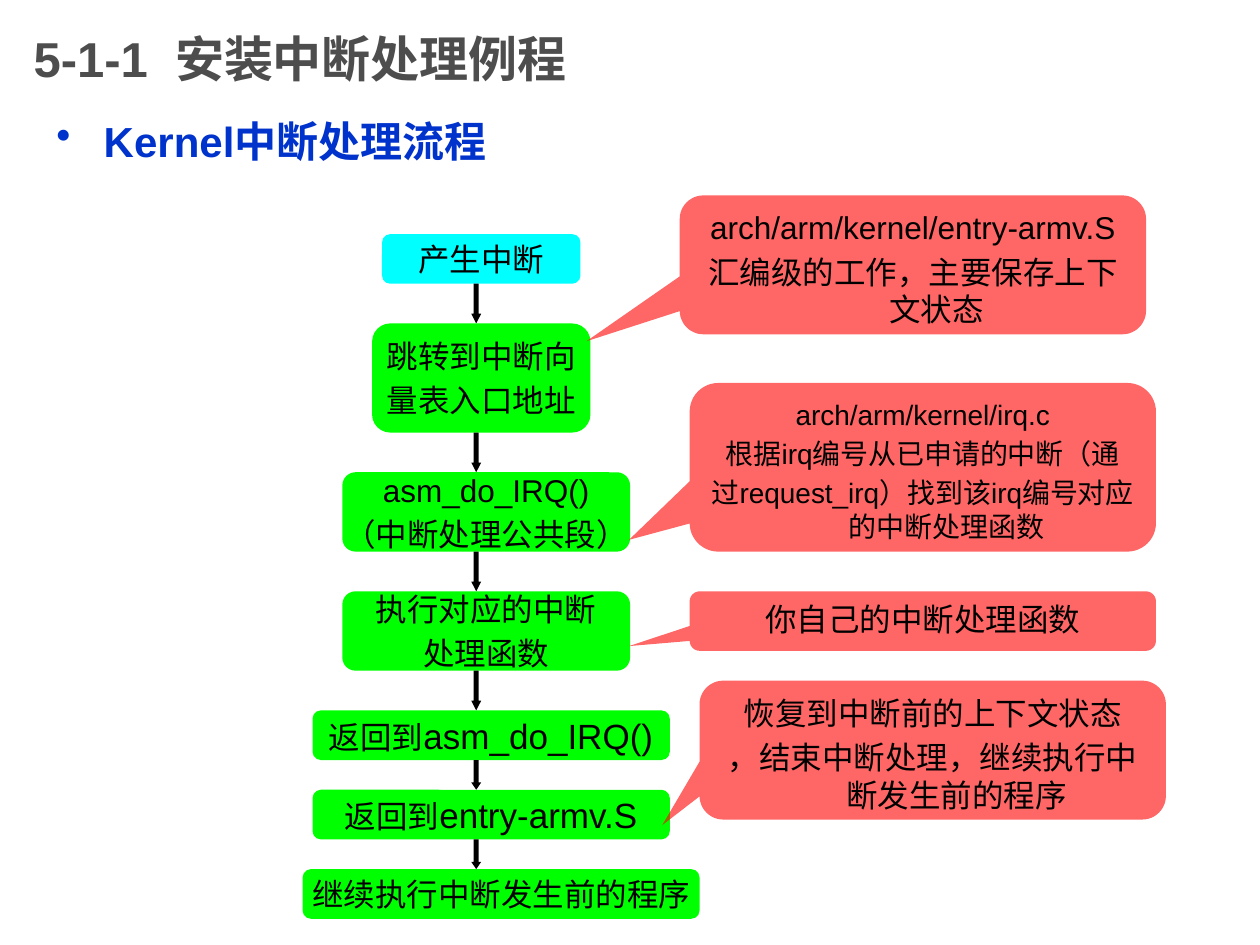
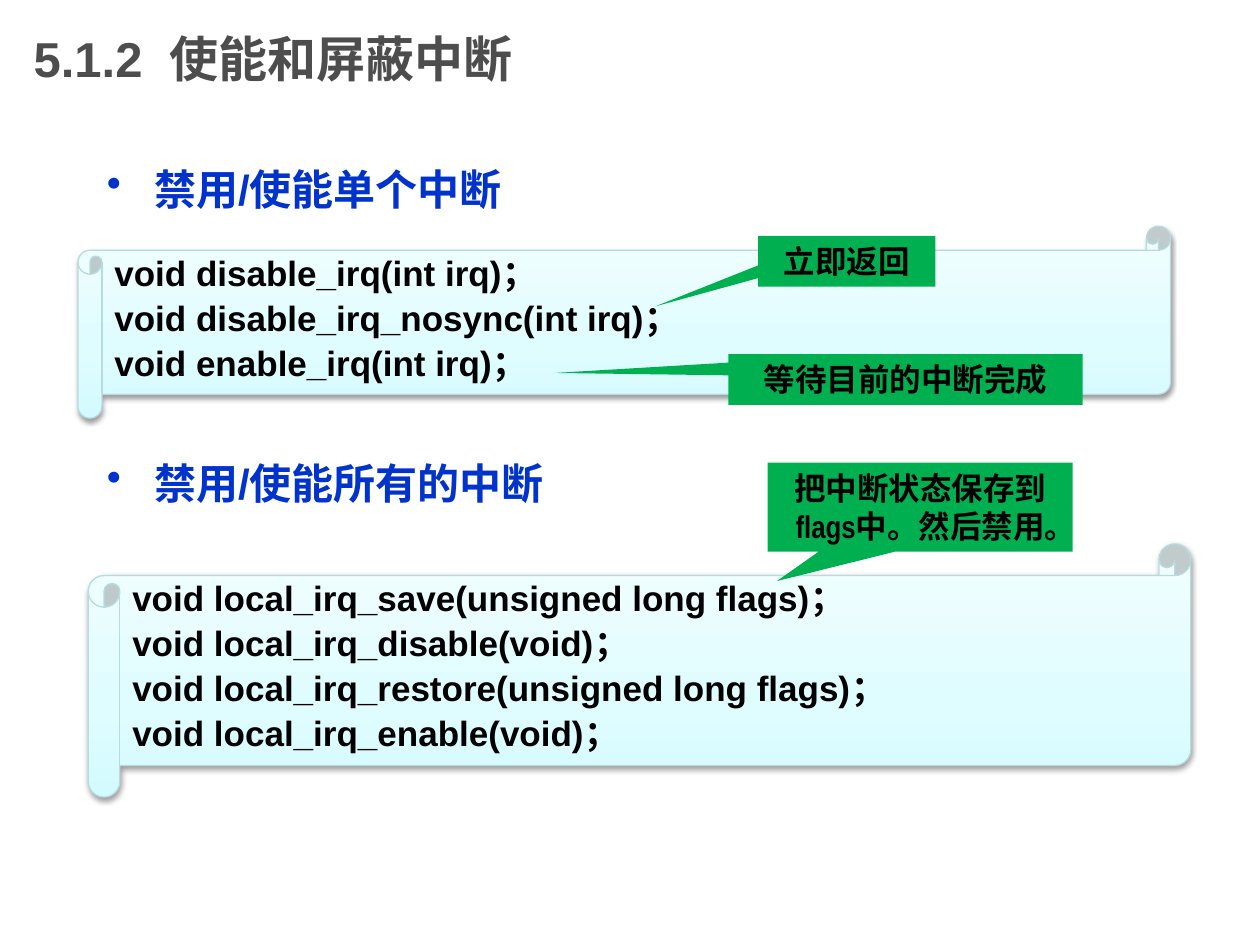
"""Build two slides on interrupt handling: a flow chart and the enable/disable calls."""
import pptx
import pptx.dml.color
import pptx.enum.shapes
import pptx.enum.text
import pptx.oxml
import pptx.oxml.ns
import pptx.util
from lxml import etree

Pt = pptx.util.Pt
SHAPE = pptx.enum.shapes.MSO_SHAPE
ALIGN = pptx.enum.text.PP_ALIGN
ANCHOR = pptx.enum.text.MSO_ANCHOR

COLOURS = {
    "title": "4D4D4D", "heading": "0033CC", "text": "000000", "start": "00FFFF",
    "step": "00FF00", "note": "FF0000", "label": "00B050", "arrow": "000000",
    "scroll_line": "B6DCDF", "shadow": "000000",
}
SCROLL_STOPS = [(0, "D3FBFF"), (35, "DFFCFF"), (100, "F2FEFF")]
BODY_FONT = "Arial"
LABEL_FONT = "Arial Narrow"
HANGING = 27

GRID = 5.67
FLOW_TOP = 23.6
ARROW_LEFT = 47.5
FLOW = [
    {"left": 38.5, "width": 20, "height": 5, "gap": 4, "lines": [[("产生中断", 18)]]},
    {"left": 37.5, "width": 22, "height": 11, "gap": 4,
     "lines": [[("跳转到中断向", 18)], [("量表入口地址", 18)]]},
    {"left": 34.5, "width": 29, "height": 8, "gap": 4,
     "lines": [[("asm_do_IRQ()", 18)], [("（中断处理公共段）", 18)]]},
    {"left": 34.5, "width": 29, "height": 8, "gap": 4,
     "lines": [[("执行对应的中断", 18)], [("处理函数", 18)]]},
    {"left": 31.5, "width": 36, "height": 5, "gap": 3,
     "lines": [[("返回到", 18), ("asm_do_IRQ()", 20)]]},
    {"left": 31.5, "width": 36, "height": 5, "gap": 3,
     "lines": [[("返回到", 18), ("entry-armv.S", 20)]]},
    {"left": 30.5, "width": 40, "height": 5, "gap": 0,
     "lines": [[("继续执行中断发生前的程序", 18)]]},
]
ARROW_HEADS = {4: 0.98, 3: 0.74}

NOTE_WIDTH = 47
NOTES = [
    {"left": 68.5, "top": 19.7, "height": 14, "tip": (-0.7, 0.55), "size": 18,
     "lines": ["arch/arm/kernel/entry-armv.S", "汇编级的工作，主要保存上下文状态"]},
    {"left": 69.5, "top": 38.6, "height": 17, "tip": (-0.63, 0.43), "size": 16,
     "lines": ["arch/arm/kernel/irq.c", "根据irq编号从已申请的中断（通",
               "过request_irq）找到该irq编号对应的中断处理函数"]},
    {"left": 69.5, "top": 59.6, "height": 6, "tip": (-0.63, 0.42), "size": 18,
     "lines": ["你自己的中断处理函数"]},
    {"left": 70.5, "top": 68.6, "height": 14, "tip": (-0.58, 0.54), "size": 18,
     "lines": ["恢复到中断前的上下文状态", "，结束中断处理，继续执行中断发生前的程序"]},
]

SCROLLS = [
    ((44.6, 129.3, 624.3, 109.7),
     ["void disable_irq(int irq)；", "void disable_irq_nosync(int irq)；",
      "void enable_irq(int irq)；"]),
    ((50.4, 310.8, 630, 144.7),
     ["void local_irq_save(unsigned long flags)；", "void local_irq_disable(void)；",
      "void local_irq_restore(unsigned long flags)；", "void local_irq_enable(void)；"]),
]
LABELS = [
    ((433.2, 134.8, 101.3, 29), (-1.08, 0.89), "立即返回"),
    ((416.2, 202.4, 202.5, 29), (-0.99, -0.13), "等待目前的中断完成"),
    ((438.7, 264.4, 174.3, 50.9), (-0.47, 0.83), "把中断状态保存到flags中。然后禁用。"),
]


def rgb(name):
    return pptx.dml.color.RGBColor.from_string(COLOURS[name])


def write(box, lines, colour="text", font=BODY_FONT, bold=False, align=ALIGN.LEFT,
          anchor=ANCHOR.TOP, wrap=True, before=0.2, spacing=None, hanging=0, bullet=False):
    frame = box.text_frame
    frame.word_wrap = wrap
    frame.vertical_anchor = anchor
    for index, line in enumerate(lines):
        para = frame.paragraphs[0] if index == 0 else frame.add_paragraph()
        para.alignment = align
        para.space_before = Pt(before * line[0][1])
        if spacing:
            para.line_spacing = spacing
        properties = para._p.get_or_add_pPr()
        if hanging:
            properties.set("marL", str(Pt(hanging)))
            properties.set("indent", str(-Pt(hanging)))
        if bullet:
            etree.SubElement(properties, pptx.oxml.ns.qn("a:buChar")).set("char", "•")
        for text, size in line:
            span = para.add_run()
            span.text = text
            span.font.size = Pt(size)
            span.font.name = font
            span.font.bold = bold
            span.font.color.rgb = rgb(colour)


def add_text(page, place, text, size, **style):
    box = page.shapes.add_textbox(*map(Pt, place))
    write(box, [[(text, size)]], bold=True, **style)


def add_title(page, text):
    add_text(page, (12.2, 0, 540, 66.2), text, 28, colour="title", anchor=ANCHOR.MIDDLE, before=0)


def add_heading(page, left, top, text, spacing=None):
    add_text(page, (left, top, 612, 40), text, 24, colour="heading", spacing=spacing,
             hanging=HANGING, bullet=True)


def add_block(page, kind, place, fill=None, adjustments=()):
    shape = page.shapes.add_shape(kind, *map(Pt, place))
    shape.shadow.inherit = False
    shape.line.fill.background()
    if fill:
        shape.fill.solid()
        shape.fill.fore_color.rgb = rgb(fill)
    for index, value in enumerate(adjustments):
        shape.adjustments[index] = value
    return shape


def on_grid(*cells):
    return [cell * GRID for cell in cells]


def add_flow(page):
    top = FLOW_TOP
    for index, step in enumerate(FLOW):
        place = on_grid(step["left"], top, step["width"], step["height"])
        box = add_block(page, SHAPE.FLOWCHART_ALTERNATE_PROCESS, place,
                        "step" if index else "start")
        write(box, step["lines"], align=ALIGN.CENTER, anchor=ANCHOR.MIDDLE,
              wrap=False, hanging=HANGING)
        top += step["height"]
        if step["gap"]:
            add_block(page, SHAPE.DOWN_ARROW, on_grid(ARROW_LEFT, top, 1, step["gap"]),
                      "arrow", (0.5, ARROW_HEADS[step["gap"]]))
        top += step["gap"]


def add_note(page, note):
    place = on_grid(note["left"], note["top"], NOTE_WIDTH, note["height"])
    box = add_block(page, SHAPE.ROUNDED_RECTANGULAR_CALLOUT, place, "note", (*note["tip"], 0.17))
    colour = box._element.spPr.find(".//" + pptx.oxml.ns.qn("a:srgbClr"))
    etree.SubElement(colour, pptx.oxml.ns.qn("a:alpha")).set("val", "60000")
    write(box, [[(line, note["size"])] for line in note["lines"]],
          align=ALIGN.CENTER, hanging=HANGING)


def add_scroll(page, place, lines):
    box = add_block(page, SHAPE.HORIZONTAL_SCROLL, place)
    box.line.color.rgb = rgb("scroll_line")
    box.line.width = Pt(0.75)
    namespace = pptx.oxml.ns.nsdecls("a")
    stops = "".join(f'<a:gs pos="{position * 1000}"><a:srgbClr val="{colour}"/></a:gs>'
                    for position, colour in SCROLL_STOPS)
    gradient = pptx.oxml.parse_xml(
        f'<a:gradFill {namespace} rotWithShape="1"><a:gsLst>{stops}</a:gsLst>'
        '<a:lin ang="16200000" scaled="1"/></a:gradFill>')
    shadow = pptx.oxml.parse_xml(
        f'<a:outerShdw {namespace} blurRad="{Pt(3.1)}" dist="{Pt(1.6)}" dir="5400000" '
        f'rotWithShape="0"><a:srgbClr val="{COLOURS["shadow"]}"><a:alpha val="38000"/>'
        '</a:srgbClr></a:outerShdw>')
    properties = box._element.spPr
    properties.find(pptx.oxml.ns.qn("a:prstGeom")).addnext(gradient)
    properties.find(pptx.oxml.ns.qn("a:effectLst")).append(shadow)
    write(box, [[(line, 20)] for line in lines], bold=True, spacing=0.9)


def add_label(page, place, tip, text):
    box = add_block(page, SHAPE.RECTANGULAR_CALLOUT, place, "label", tip)
    write(box, [[(text, 18)]], font=LABEL_FONT, bold=True, align=ALIGN.CENTER, before=0.5)


def main():
    deck = pptx.Presentation()
    deck.slide_width, deck.slide_height = Pt(720), Pt(540)
    blank = deck.slide_layouts[6]

    page = deck.slides.add_slide(blank)
    add_title(page, "5-1-1  安装中断处理例程")
    add_heading(page, 25.2, 65.5, "Kernel中断处理流程", spacing=0.9)
    add_flow(page)
    for note in NOTES:
        add_note(page, note)

    page = deck.slides.add_slide(blank)
    add_title(page, "5.1.2  使能和屏蔽中断")
    add_heading(page, 54, 90, "禁用/使能单个中断")
    add_heading(page, 54, 258, "禁用/使能所有的中断")
    for place, lines in SCROLLS:
        add_scroll(page, place, lines)
    for place, tip, text in LABELS:
        add_label(page, place, tip, text)

    deck.save("out.pptx")


if __name__ == "__main__":
    main()
